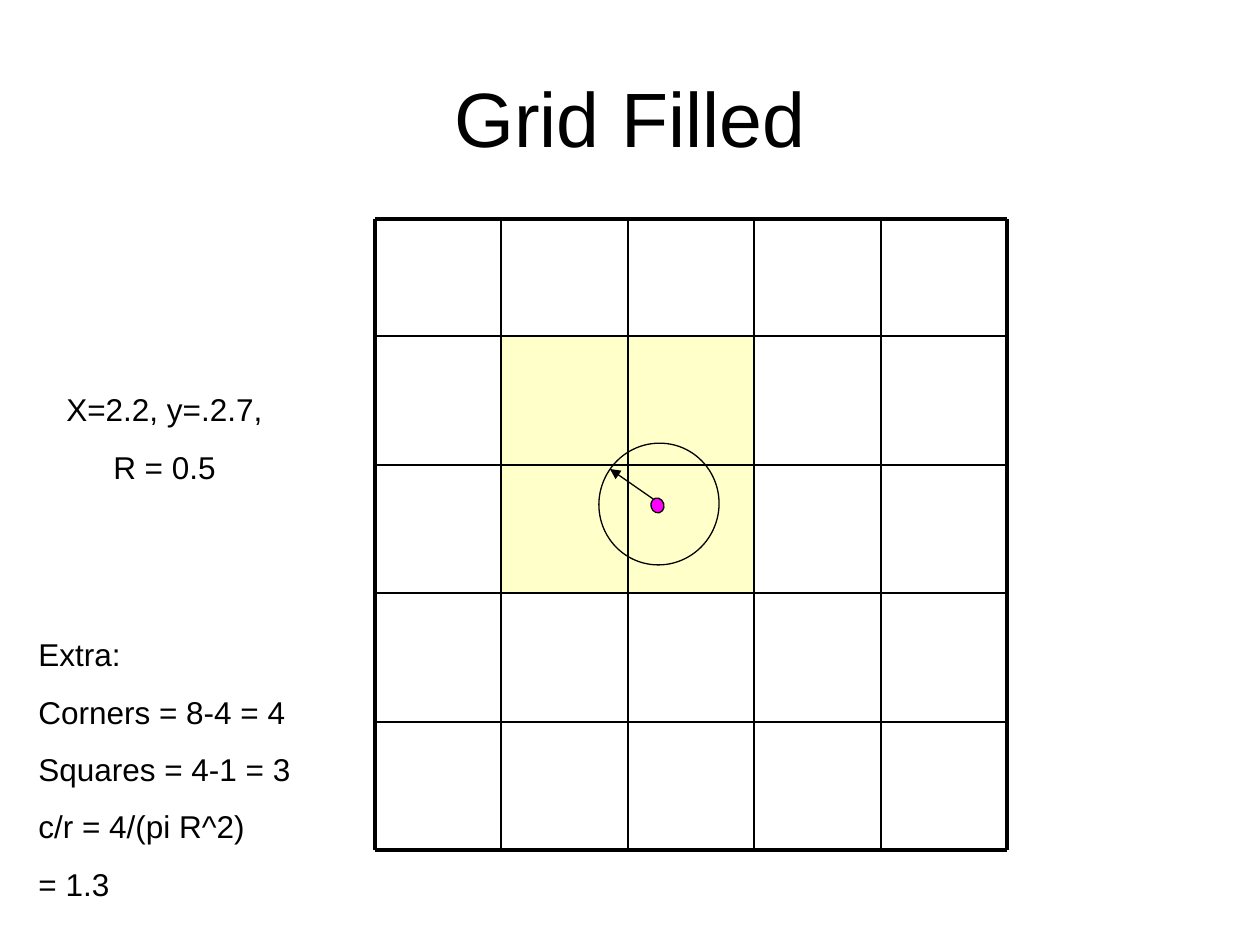
"""Build the "Grid Filled" slide: a 5 by 5 grid with a circle over four shaded cells."""
from dataclasses import dataclass
from typing import Optional

import pptx
import pptx.dml.color
import pptx.enum.shapes
import pptx.enum.text
import pptx.oxml.ns
import pptx.util
from lxml import etree

PX_PER_INCH = 126
COLORS = {"ink": "000000", "cell": "FFFF66", "dot": "FF00FF"}
CELL_ALPHA = 35
FONT = "Arial"
N = 5
XS = [375 + round(126.4 * i) for i in range(N + 1)]
YS = [219] + [336 + round(128.6 * i) for i in range(N)]
SHAPE = pptx.enum.shapes.MSO_SHAPE
ALIGN = pptx.enum.text.PP_ALIGN
qn = pptx.oxml.ns.qn


@dataclass(frozen=True)
class Box:
    x: int
    y: int
    w: int
    h: int


@dataclass(frozen=True)
class Note:
    box: Box
    lines: tuple[str, ...]
    align: ALIGN


NOTES = (
    Note(Box(50, 384, 229, 108), ("X=2.2, y=.2.7,", "R = 0.5"), ALIGN.CENTER),
    Note(
        Box(26, 629, 335, 281),
        ("Extra:", "Corners = 8-4 = 4", "Squares = 4-1 = 3", "c/r = 4/(pi R^2)", "= 1.3"),
        ALIGN.LEFT,
    ),
)


def px(n: int) -> int:
    return round(n * pptx.util.Inches(1) / PX_PER_INCH)


def emu(box: Box) -> tuple[int, int, int, int]:
    return px(box.x), px(box.y), px(box.w), px(box.h)


def rgb(name: str) -> pptx.dml.color.RGBColor:
    return pptx.dml.color.RGBColor.from_string(COLORS[name])


def style_text(p, size: int, align: ALIGN) -> None:
    p.alignment = align
    p.font.name = FONT
    p.font.size = pptx.util.Pt(size)
    p.font.color.rgb = rgb("ink")


def add_title(s, box: Box, text: str) -> None:
    sp = s.shapes.title
    sp.left, sp.top, sp.width, sp.height = emu(box)
    tf = sp.text_frame
    tf.text = text
    tf.vertical_anchor = pptx.enum.text.MSO_ANCHOR.MIDDLE
    style_text(tf.paragraphs[0], 44, ALIGN.CENTER)


def add_note(s, note: Note) -> None:
    tf = s.shapes.add_textbox(*emu(note.box)).text_frame
    tf.word_wrap = True
    tf.text = "\n".join(note.lines)
    for p in tf.paragraphs:
        style_text(p, 18, note.align)
        p.space_before = pptx.util.Pt(11.2)


def add_cell(s, col: int, row: int) -> None:
    x, y = XS[col], YS[row]
    box = Box(x, y, XS[col + 1] - x, YS[row + 1] - y)
    sp = s.shapes.add_shape(SHAPE.RECTANGLE, *emu(box))
    sp.shadow.inherit = False
    sp.line.fill.background()
    sp.fill.solid()
    sp.fill.fore_color.rgb = rgb("cell")
    color = next(sp._element.spPr.iter(qn("a:srgbClr")))
    etree.SubElement(color, qn("a:alpha"), val=str(CELL_ALPHA * 1000))


def add_ellipse(s, box: Box, rotation: float, fill: Optional[str] = None) -> None:
    sp = s.shapes.add_shape(SHAPE.OVAL, *emu(box))
    sp.shadow.inherit = False
    sp.rotation = rotation
    sp.line.color.rgb = rgb("ink")
    sp.line.width = pptx.util.Pt(0.75)
    if fill:
        sp.fill.solid()
        sp.fill.fore_color.rgb = rgb(fill)
    else:
        sp.fill.background()


def add_line(s, x1: int, y1: int, x2: int, y2: int, width: float, arrow: bool = False) -> None:
    straight = pptx.enum.shapes.MSO_CONNECTOR.STRAIGHT
    line = s.shapes.add_connector(straight, px(x1), px(y1), px(x2), px(y2))
    line.line.color.rgb = rgb("ink")
    line.line.width = pptx.util.Pt(width)
    if arrow:
        etree.SubElement(line.line._get_or_add_ln(), qn("a:tailEnd"), type="triangle")
    etree.SubElement(line._element.spPr, qn("a:effectLst"))


def add_grid(s) -> None:
    for row in (2, 1):
        for col in (2, 1):
            add_cell(s, col, row)
    widths = [2.25] + [1] * (N - 1) + [2.25]
    for y, width in zip(YS, widths):
        add_line(s, XS[0], y, XS[-1], y, width)
    for x, width in zip(XS, widths):
        add_line(s, x, YS[0], x, YS[-1], width)


def main() -> None:
    prs = pptx.Presentation()
    prs.slide_width = pptx.util.Inches(10)
    prs.slide_height = pptx.util.Inches(7.5)
    s = prs.slides.add_slide(prs.slide_layouts[5])
    add_grid(s)
    add_title(s, Box(63, 38, 1134, 158), "Grid Filled")
    for note in NOTES:
        add_note(s, note)
    add_ellipse(s, Box(598, 444, 122, 120), 288.9)
    add_line(s, 656, 501, 610, 469, 0.75, arrow=True)
    add_ellipse(s, Box(651, 498, 13, 15), 344.3, "dot")
    prs.save("out.pptx")


if __name__ == "__main__":
    main()
